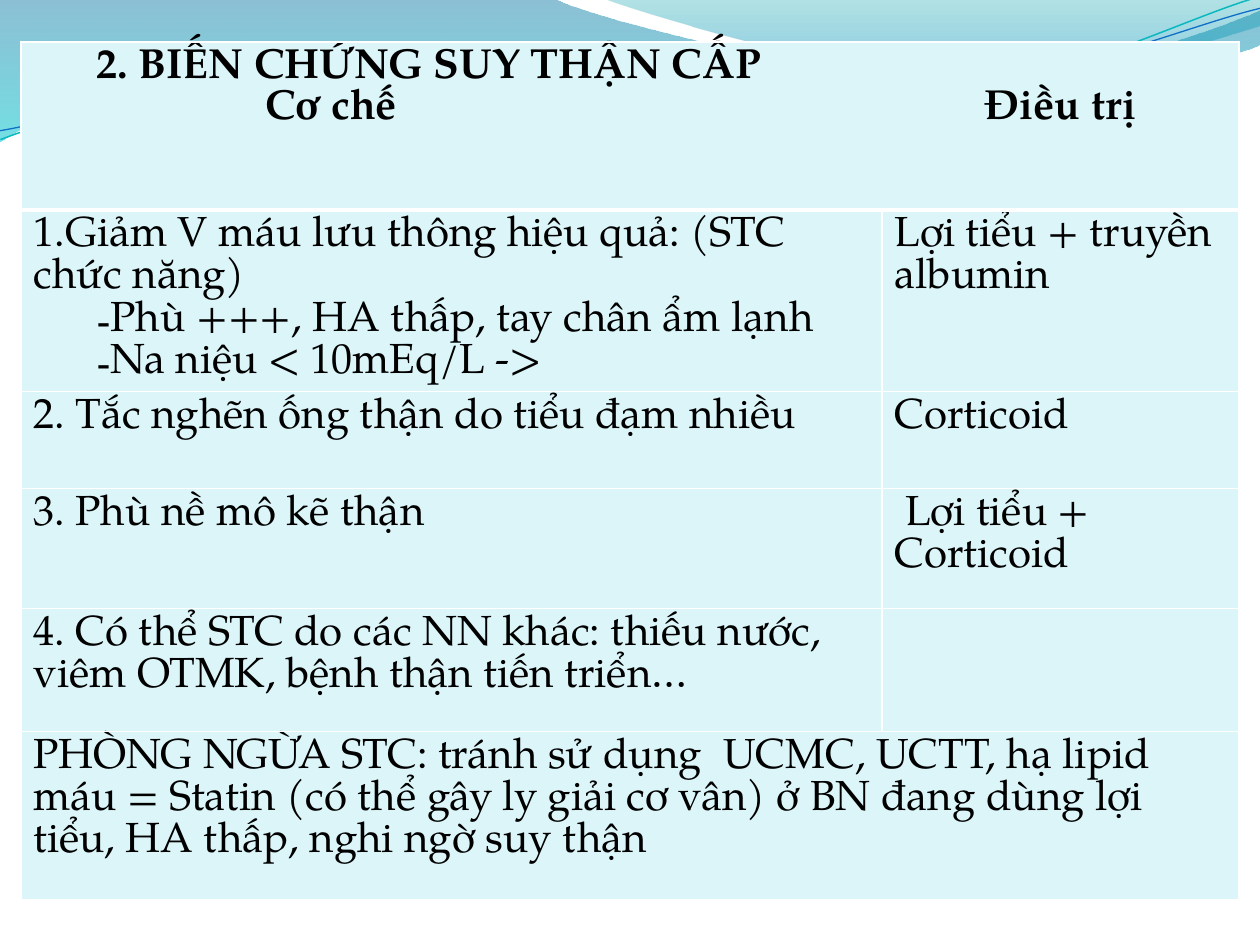
"""Build the slide on acute kidney failure: mechanisms and treatment."""
from lxml.etree import SubElement
from pptx import Presentation
from pptx.dml.color import RGBColor
from pptx.oxml import parse_xml
from pptx.oxml.ns import nsdecls, qn
from pptx.util import Pt

PX = 914400 / 126
THEME = dict(font="TeX Gyre Pagella", dash="Arial", size=24, ink="000000",
             cell="DBF5F9", rule="FFFFFF", teal="0AB8BF", blue="0F6FC6",
             wave=[(0, "0074A1", 45), (100, "00C6CF", 55)],
             crest=[(0, "00A1A9", 30), (80, "008BBF", 45)])


def write(cell, text, bold=False, left=0, first=0, dash=False, gap=0):
    """Add a paragraph; a gap in points widens the space at each bar."""
    frame = cell.text_frame
    para = frame.paragraphs[0]
    if para.runs:
        para = frame.add_paragraph()
    props = para._p.get_or_add_pPr()
    props.set("marL", str(int(left * PX)))
    props.set("indent", str(int(first * PX)))
    if dash:
        SubElement(props, qn("a:buFont")).set("typeface", THEME["dash"])
        SubElement(props, qn("a:buChar")).set("char", "-")
    else:
        SubElement(props, qn("a:buNone"))
    for part in text.replace("|", "| |").split("|"):
        run = para.add_run()
        run.text = part
        run.font.name = THEME["font"]
        run.font.size = Pt(THEME["size"])
        run.font.bold = bold
        run.font.color.rgb = RGBColor.from_string(THEME["ink"])
        if part == " ":
            run._r.get_or_add_rPr().set("spc", str(gap * 100))


def trace(start, steps, close):
    """Draw an outline from line ends (2 numbers) and curves (6 numbers)."""
    dots = [step[i:i + 2] for step in steps for i in range(0, len(step), 2)]
    path = slide.shapes.build_freeform(*start, scale=PX)
    path.add_line_segments(dots, close=close)
    shape = path.convert_to_shape()
    shape.shadow.inherit = False
    lines = iter(list(shape._element.iter(qn("a:lnTo"))))
    for step in steps:
        line = next(lines)
        if len(step) == 6:
            line.tag = qn("a:cubicBezTo")
            for _ in range(2):
                other = next(lines)
                line.append(other[0])
                other.getparent().remove(other)
    return shape


deck = Presentation()
deck.slide_width, deck.slide_height = int(1260 * PX), int(945 * PX)
slide = deck.slides.add_slide(deck.slide_layouts[6])

bands = [
    ((0, 0), [(554, -1), (600, 21, 837, 79, 955, 79),
              (1075, 79, 1208, 33, 1260, 11), (1261, 45),
              (1239, 55, 1096, 96, 940, 95), (784, 95, 481, 35, 324, 43),
              (163, 45, 58, 105, -1, 142), (0, 0)], "wave"),
    ((604, -1), [(641, 14, 859, 78, 969, 82),
                 (1079, 87, 1211, 40, 1260, 26), (1260, 0),
                 (604, -1)], "crest"),
]
for start, steps, name in bands:
    band = trace(start, steps, True)
    band.line.fill.background()
    band.fill.background()
    stops = "".join(
        f'<a:gs pos="{at * 1000}"><a:srgbClr val="{hue}">'
        f'<a:alpha val="{alpha * 1000}"/></a:srgbClr></a:gs>'
        for at, hue, alpha in THEME[name])
    fill = parse_xml(
        f'<a:gradFill {nsdecls("a")} rotWithShape="1"><a:gsLst>{stops}'
        '</a:gsLst><a:lin ang="5400000" scaled="0"/></a:gradFill>')
    props = band._element.spPr
    props.replace(props.find(qn("a:noFill")), fill)

curves = [
    ((-2, 110), [(59, 90, 199, 52, 350, 53), (499, 53, 745, 118, 896, 114),
                 (1049, 109, 1184, 45, 1260, 27)], "teal", 0.85),
    ((-2, 101), [(58, 94, 208, 57, 358, 58), (509, 58, 750, 112, 902, 108),
                 (1052, 104, 1188, 52, 1263, 38)], "blue", 0.75),
]
for start, steps, name, width in curves:
    curve = trace(start, steps, False)
    curve.rotation = 357.3
    curve.fill.background()
    curve.line.color.rgb = RGBColor.from_string(THEME[name])
    curve.line.width = Pt(width)

cols, rows = [861, 357], [168, 181, 97, 120, 123, 168]
frame = slide.shapes.add_table(
    len(rows), len(cols), int(21 * PX), int(42 * PX),
    int(sum(cols) * PX), int(sum(rows) * PX))
table = frame.table
table.first_row = table.horz_banding = False
for col, width in zip(table.columns, cols):
    col.width = int(width * PX)
for row, height in zip(table.rows, rows):
    row.height = int(height * PX)
for r in range(len(rows)):
    for c in range(len(cols)):
        cell = table.cell(r, c)
        props = cell._tc.get_or_add_tcPr()
        for side in "LRTB":
            thick = (r, side) in ((0, "B"), (1, "T"))
            props.append(parse_xml(
                f'<a:ln{side} {nsdecls("a")} w="{Pt(3 if thick else 1)}">'
                f'<a:solidFill><a:srgbClr val="{THEME["rule"]}"/></a:solidFill>'
                f'</a:ln{side}>'))
        cell.fill.solid()
        cell.fill.fore_color.rgb = RGBColor.from_string(THEME["cell"])
for r in (0, len(rows) - 1):
    table.cell(r, 0).merge(table.cell(r, 1))

head = table.cell(0, 0)
write(head, "2. BIẾN CHỨNG SUY THẬN CẤP", bold=True, left=63)
write(head, "Cơ chế|Điều trị", bold=True, left=232, gap=330)

body = [
    ("1.Giảm V máu lưu thông hiệu quả: (STC chức năng)",
     "Lợi tiểu + truyền albumin"),
    ("2. Tắc nghẽn ống thận do tiểu đạm nhiều", "Corticoid"),
    ("3. Phù nề mô kẽ thận", " Lợi tiểu + Corticoid"),
    ("4. Có thể STC do các NN khác: thiếu nước, viêm OTMK, "
     "bệnh thận tiến triển…",),
    ("PHÒNG NGỪA STC: tránh sử dụng  UCMC, UCTT, hạ lipid máu = Statin "
     "(có thể gây ly giải cơ vân) ở BN đang dùng lợi tiểu, HA thấp, "
     "nghi ngờ suy thận",),
]
for r, texts in enumerate(body, 1):
    for c, text in enumerate(texts):
        write(table.cell(r, c), text)
for sign in ("Phù +++, HA thấp, tay chân ẩm lạnh", "Na niệu < 10mEq/L ->"):
    write(table.cell(1, 0), sign, first=63, dash=True)

deck.save("out.pptx")
